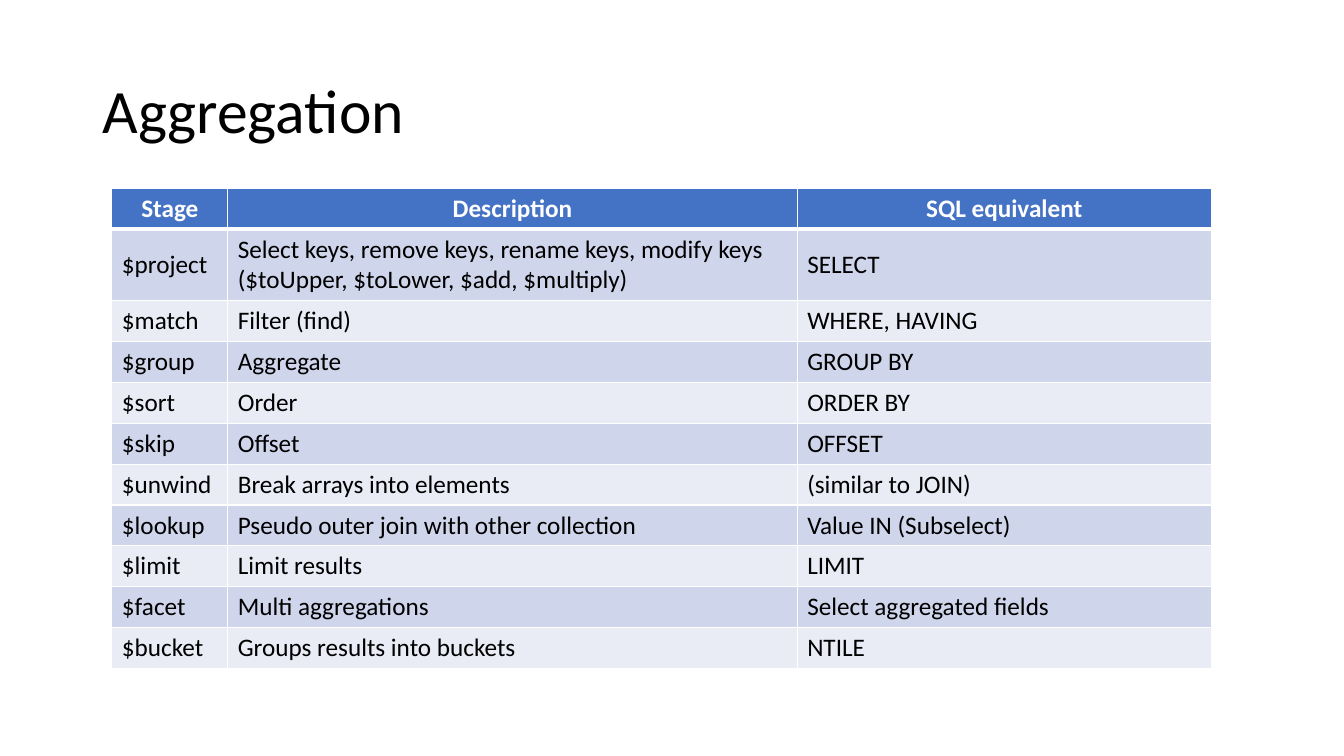
from dataclasses import dataclass

from lxml.etree import SubElement
from pptx import Presentation
from pptx.dml.color import RGBColor
from pptx.enum.text import MSO_ANCHOR, PP_ALIGN
from pptx.oxml.ns import qn
from pptx.util import Cm, Pt


@dataclass(frozen=True)
class Theme:
    font: str = "Calibri"
    title_size: int = 44
    body_size: int = 18
    text: str = "000000"
    header_text: str = "FFFFFF"
    header_fill: str = "4472C4"
    bands: tuple = ("CFD5EA", "E9EBF5")
    border: str = "FFFFFF"
    thin: int = 1
    thick: int = 3


THEME = Theme()

HEADERS = ("Stage", "Description", "SQL equivalent")
STAGES = (
    ("$project", "Select keys, remove keys, rename keys, modify keys\n"
                 "($toUpper, $toLower, $add, $multiply)", "SELECT"),
    ("$match", "Filter (find)", "WHERE, HAVING"),
    ("$group", "Aggregate", "GROUP BY"),
    ("$sort", "Order", "ORDER BY"),
    ("$skip", "Offset", "OFFSET"),
    ("$unwind", "Break arrays into elements", "(similar to JOIN)"),
    ("$lookup", "Pseudo outer join with other collection", "Value IN (Subselect)"),
    ("$limit", "Limit results", "LIMIT"),
    ("$facet", "Multi aggregations", "Select aggregated fields"),
    ("$bucket", "Groups results into buckets", "NTILE"),
)
COLUMN_SHARES = (1.15, 5.65, 4.11)
ROW_HEIGHT = Cm(1.03)
TWO_LINE_HEIGHT = Cm(1.78)


def add_run(p, text, size, color, bold=False):
    r = p.add_run()
    r.text = text
    r.font.name = THEME.font
    r.font.size = Pt(size)
    r.font.bold = bold
    r.font.color.rgb = RGBColor.from_string(color)


def set_borders(cell, top, bottom):
    """Draw the four cell edges; the lines precede the fill in the XML."""
    tc_pr = cell._tc.get_or_add_tcPr()
    widths = {"L": THEME.thin, "R": THEME.thin, "T": top, "B": bottom}
    for i, (side, width) in enumerate(widths.items()):
        ln = SubElement(tc_pr, qn(f"a:ln{side}"), w=str(Pt(width)))
        fill = SubElement(ln, qn("a:solidFill"))
        SubElement(fill, qn("a:srgbClr"), val=THEME.border)
        tc_pr.insert(i, ln)


def fill_cell(cell, text, row):
    header = row == 0
    cell.vertical_anchor = MSO_ANCHOR.MIDDLE
    cell.fill.solid()
    fill = THEME.header_fill if header else THEME.bands[(row - 1) % 2]
    cell.fill.fore_color.rgb = RGBColor.from_string(fill)
    tf = cell.text_frame
    for i, line in enumerate(text.split("\n")):
        p = tf.add_paragraph() if i else tf.paragraphs[0]
        p.alignment = PP_ALIGN.CENTER if header else PP_ALIGN.LEFT
        add_run(p, line, THEME.body_size,
                THEME.header_text if header else THEME.text, header)
    set_borders(cell,
                top=THEME.thick if row == 1 else THEME.thin,
                bottom=THEME.thick if header else THEME.thin)


def place_title(s, text, left, top, width, height):
    title = s.shapes.title
    title.left, title.top, title.width, title.height = left, top, width, height
    tf = title.text_frame
    tf.word_wrap = True
    tf.vertical_anchor = MSO_ANCHOR.MIDDLE
    p = tf.paragraphs[0]
    p.alignment = PP_ALIGN.LEFT
    p.line_spacing = 0.9
    add_run(p, text, THEME.title_size, THEME.text)


def place_stage_table(s, left, top, width, height):
    rows = (HEADERS, *STAGES)
    table = s.shapes.add_table(len(rows), len(HEADERS),
                               left, top, width, height).table
    for column, share in zip(table.columns, COLUMN_SHARES):
        column.width = int(width * share / sum(COLUMN_SHARES))
    for i, texts in enumerate(rows):
        two_lines = any("\n" in text for text in texts)
        table.rows[i].height = TWO_LINE_HEIGHT if two_lines else ROW_HEIGHT
        for j, text in enumerate(texts):
            fill_cell(table.cell(i, j), text, i)


def main():
    prs = Presentation()
    prs.slide_width, prs.slide_height = Cm(33.87), Cm(19.05)
    s = prs.slides.add_slide(prs.slide_layouts[5])
    # Heading
    place_title(s, "Aggregation", Cm(2.33), Cm(1.01), Cm(29.21), Cm(3.68))
    # Stages and their SQL counterparts
    place_stage_table(s, Cm(2.82), Cm(4.74), Cm(27.71), Cm(12.08))
    prs.save("out.pptx")


if __name__ == "__main__":
    main()
